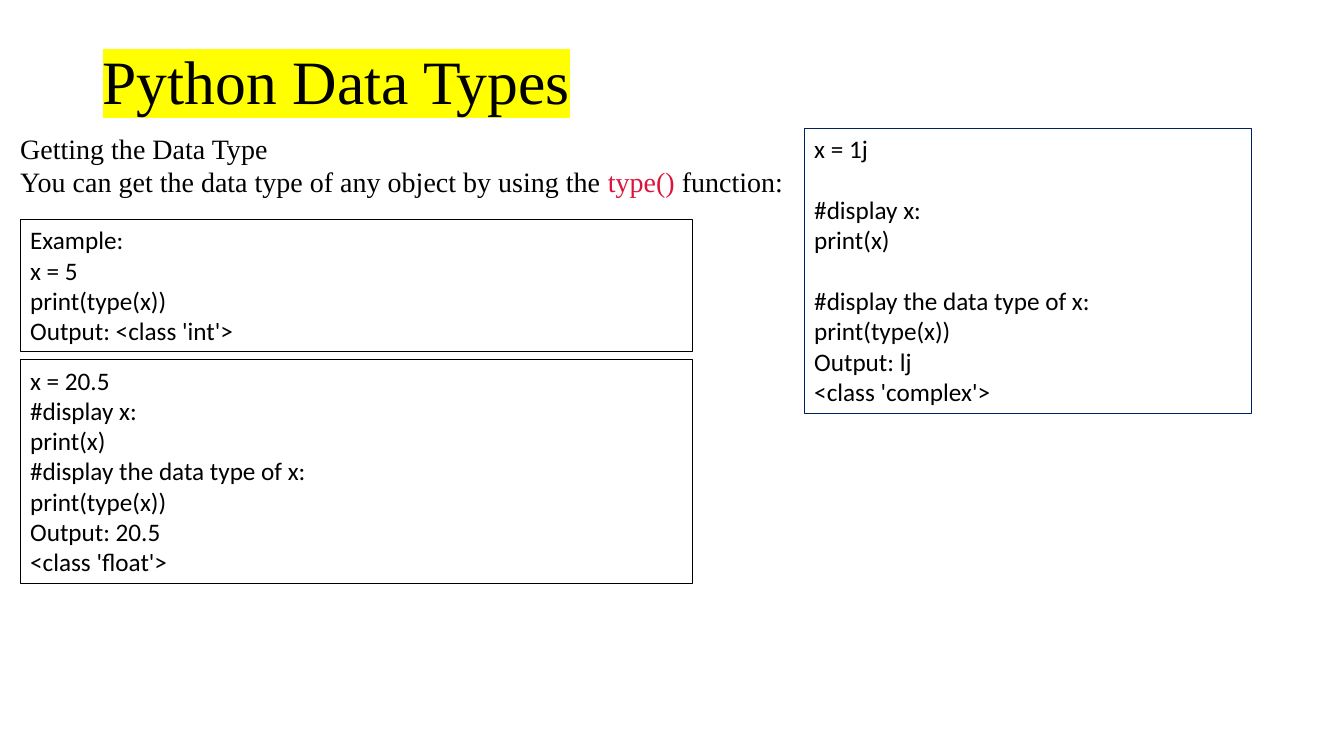
from dataclasses import dataclass

from lxml.etree import SubElement
from pptx import Presentation
from pptx.dml.color import RGBColor
from pptx.enum.shapes import MSO_SHAPE as Shape
from pptx.enum.text import MSO_ANCHOR as Anchor, PP_ALIGN as Align
from pptx.oxml.ns import qn
from pptx.util import Cm, Pt

SERIF = "Times New Roman"
SANS = "Calibri"
BLACK = "000000"
LINE_GAP = 22


@dataclass
class Box:
    left: float
    top: float
    width: float
    height: float
    lines: list[str]
    size: int = 18
    face: str = SANS
    fill: str = ""
    edge: str = ""
    anchor: Anchor = Anchor.TOP
    inset: float = 0.25
    spaced: bool = False  # leave a line's gap above each comment


def color(code: str) -> RGBColor:
    return RGBColor.from_string(code)


def draw(slide, box: Box):
    shape = slide.shapes.add_shape(
        Shape.RECTANGLE, Cm(box.left), Cm(box.top), Cm(box.width), Cm(box.height))
    shape.shadow.inherit = False
    if box.fill:
        shape.fill.solid()
        shape.fill.fore_color.rgb = color(box.fill)
    else:
        shape.fill.background()
    if box.edge:
        shape.line.color.rgb = color(box.edge)
        shape.line.width = Pt(0.75)
    else:
        shape.line.fill.background()

    frame = shape.text_frame
    frame.word_wrap = True
    frame.vertical_anchor = box.anchor
    frame.margin_left = frame.margin_right = Cm(box.inset)
    for i, line in enumerate(box.lines):
        para = frame.paragraphs[0] if i == 0 else frame.add_paragraph()
        para.text = line
        para.alignment = Align.LEFT
        if box.spaced and line.startswith("#"):
            para.space_before = Pt(LINE_GAP)
        para.font.size = Pt(box.size)
        para.font.name = box.face
        para.font.color.rgb = color(BLACK)
    return frame


def mark(run, code: str) -> None:
    """Put a highlight behind a run."""
    light = SubElement(run._r.get_or_add_rPr(), qn("a:highlight"))
    SubElement(light, qn("a:srgbClr")).set("val", code)


def main() -> None:
    deck = Presentation()
    deck.slide_width, deck.slide_height = Cm(33.87), Cm(19.05)
    slide = deck.slides.add_slide(deck.slide_layouts[6])

    title = Box(2.34, 1.02, 29.21, 2.21, ["Python Data Types"],
                size=44, face=SERIF, anchor=Anchor.MIDDLE)
    intro = Box(0.51, 3.05, 20.37, 2.21,
                ["Getting the Data Type",
                 "You can get the data type of any object by using the "],
                size=20, face=SERIF, fill="FFFFFF", anchor=Anchor.MIDDLE, inset=0)
    codes = [
        Box(0.51, 5.54, 16.94, 3.33,
            ["Example:", "x = 5", "print(type(x))", "Output: <class 'int'>"],
            edge=BLACK),
        Box(0.51, 9.07, 16.94, 5.64,
            ["x = 20.5", "#display x:", "print(x)", "#display the data type of x:",
             "print(type(x))", "Output: 20.5", "<class 'float'>"],
            edge=BLACK),
        Box(20.27, 3.23, 11.28, 7.19,
            ["x = 1j", "#display x:", "print(x)", "#display the data type of x:",
             "print(type(x))", "Output: lj", "<class 'complex'>"],
            edge="002060", spaced=True),
    ]

    head = draw(slide, title).paragraphs[0]
    head.line_spacing = 0.9
    mark(head.runs[0], "FFFF00")

    usage = draw(slide, intro).paragraphs[1]
    for text, code in (("type()", "DC143C"), (" function:", BLACK)):
        run = usage.add_run()
        run.text = text
        run.font.color.rgb = color(code)

    for box in codes:
        draw(slide, box)
    deck.save("out.pptx")


if __name__ == "__main__":
    main()
